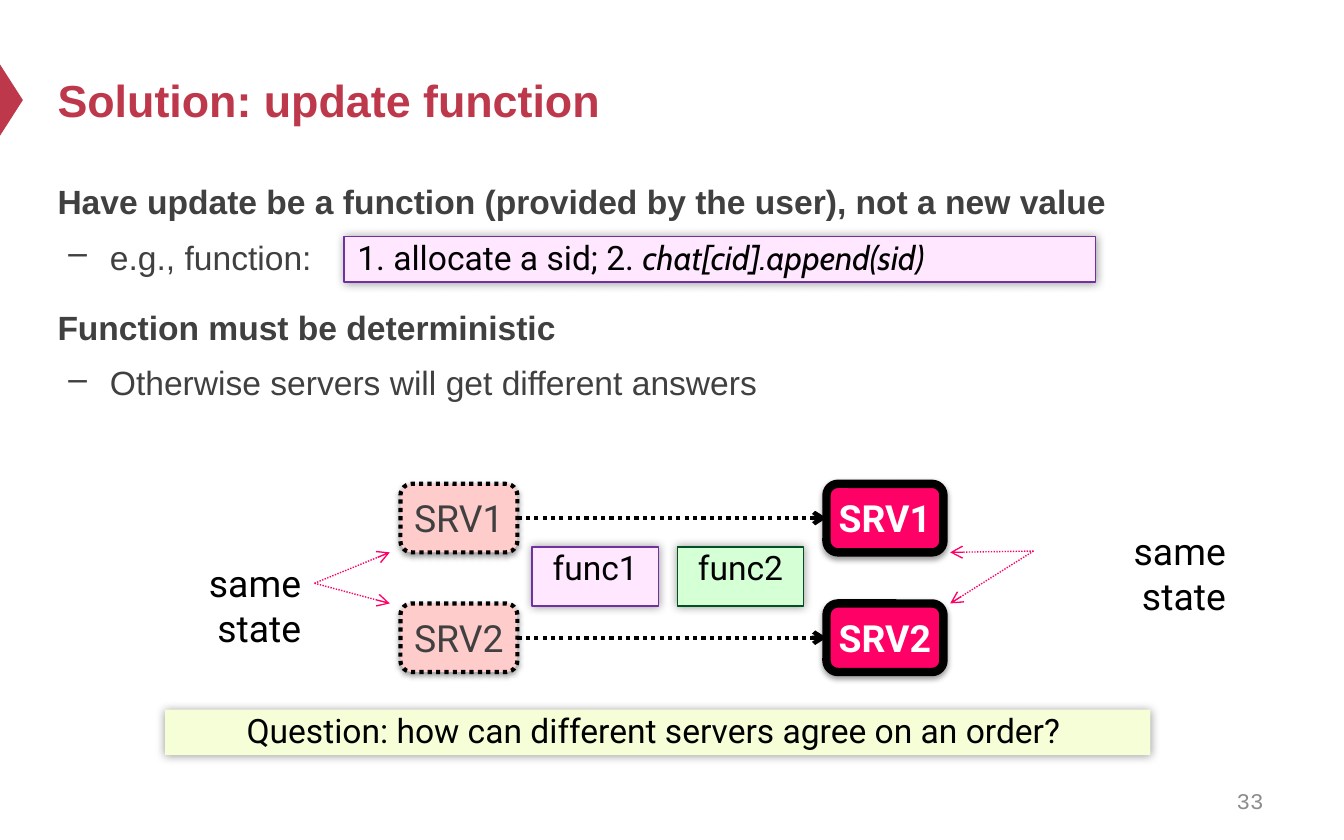
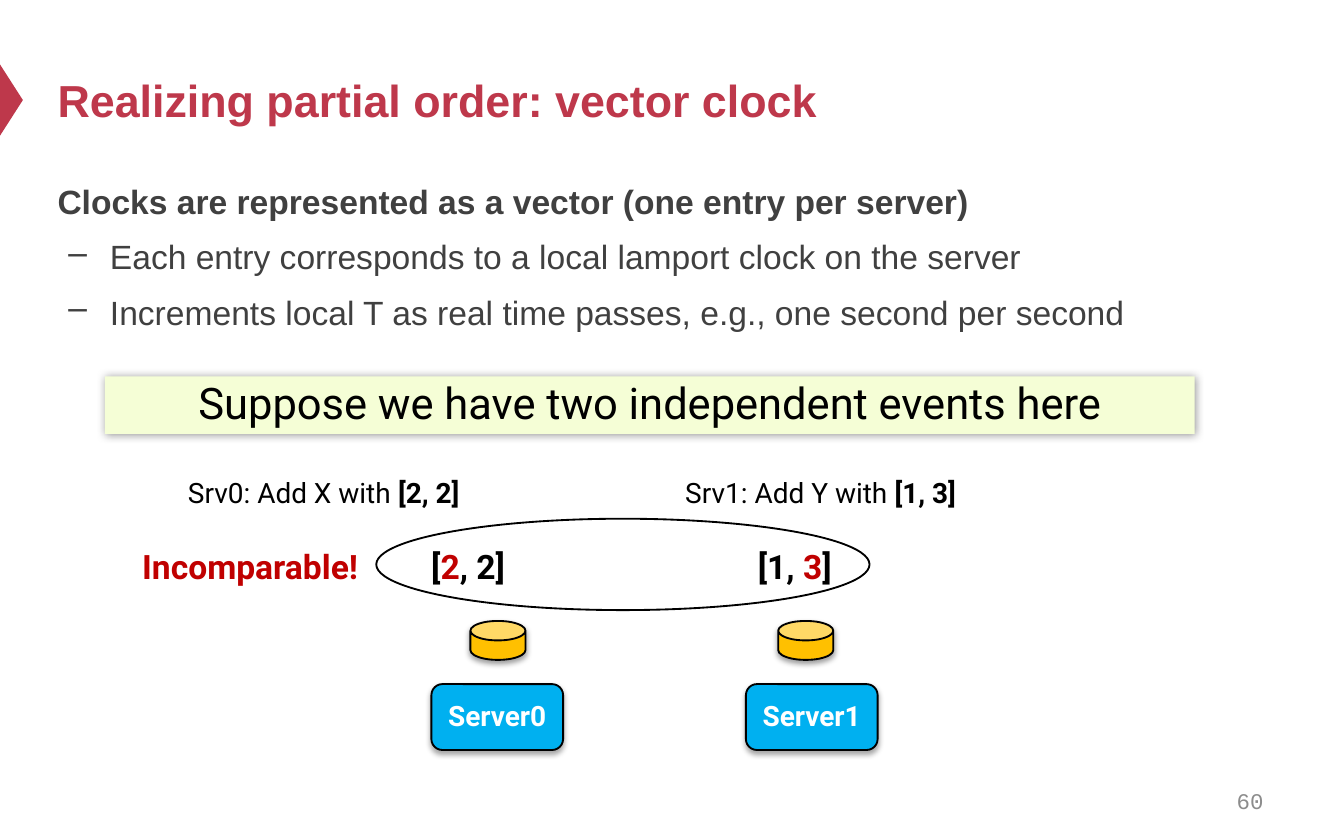
from collections import namedtuple

from lxml import etree
from pptx import Presentation
from pptx.dml.color import RGBColor
from pptx.enum.dml import MSO_LINE
from pptx.enum.shapes import MSO_CONNECTOR, MSO_SHAPE
from pptx.enum.text import MSO_ANCHOR, PP_ALIGN
from pptx.oxml.ns import qn
from pptx.util import Emu, Pt

EMU_PER_PX = 9144  # 100 px to the inch

RECTANGLE = MSO_SHAPE.RECTANGLE
ROUNDED = MSO_SHAPE.ROUNDED_RECTANGLE
TRIANGLE = MSO_SHAPE.ISOSCELES_TRIANGLE
CAN = MSO_SHAPE.CAN
ELLIPSE = MSO_SHAPE.OVAL
STRAIGHT = MSO_CONNECTOR.STRAIGHT
DOTTED = MSO_LINE.ROUND_DOT
LEFT, CENTER, RIGHT = PP_ALIGN.LEFT, PP_ALIGN.CENTER, PP_ALIGN.RIGHT
TOP, MIDDLE = MSO_ANCHOR.TOP, MSO_ANCHOR.MIDDLE
SIDE_LEFT, SIDE_RIGHT = 1, 3

CRIMSON, GREY, PALE_GREY = "BE384B", "404040", "8C8C8C"
BLACK, WHITE, RED, PINK = "000000", "FFFFFF", "C00000", "FF0066"
ROSE, LILAC, PURPLE = "FFCCCC", "FFE7FF", "7030A0"
MINT, GREEN, LIME = "D5FFD5", "005024", "F5FED6"
GOLD, BLUE = "FFC000", "00B0F0"

HEADING_FONT, NOTE_FONT, CODE_FONT, NUMBER_FONT = "Arial", "Roboto", "Cabin", "Courier New"

Box = namedtuple("Box", "left top width height")
Shadow = namedtuple("Shadow", "opacity blur distance direction")
GLOW = Shadow(40, 5, 0, 0)
DROP = Shadow(38, 3.1, 1.6, 90)
SERVER_DROP = Shadow(35, 3.1, 1.8, 90)

DEFAULT_INSETS = (10, 5, 10, 5)
NODE_INSETS = (0, 4, 0, 5)


def px(length):
    return Emu(length * EMU_PER_PX)


def color(hex_string):
    return RGBColor.from_string(hex_string)


def inside(box, left, top, width, height):
    """Box at an offset from the corner of another box."""
    return Box(box.left + left, box.top + top, width, height)


def set_font(font, name=None, size=None, ink=None, bold=None, italic=None):
    if name:
        font.name = name
    if size:
        font.size = Pt(size)
    if ink:
        font.color.rgb = color(ink)
    if bold is not None:
        font.bold = bold
    if italic is not None:
        font.italic = italic


def prepare_frame(shape, anchor=TOP, insets=DEFAULT_INSETS):
    frame = shape.text_frame
    frame.word_wrap = True
    frame.vertical_anchor = anchor
    frame.margin_left, frame.margin_top, frame.margin_right, frame.margin_bottom = map(px, insets)
    return frame


def write(shape, runs, size, ink=BLACK, name=NOTE_FONT, bold=False, align=LEFT,
          anchor=TOP, insets=DEFAULT_INSETS, spacing=None):
    """Write one paragraph; runs are (text, font differences) pairs or a string."""
    paragraph = prepare_frame(shape, anchor, insets).paragraphs[0]
    paragraph.alignment = align
    if spacing:
        paragraph.line_spacing = spacing
    set_font(paragraph.font, name, size, ink, bold)
    for text, differences in [(runs, {})] if isinstance(runs, str) else runs:
        run = paragraph.add_run()
        run.text = text
        set_font(run.font, **differences)


def add_text(slide, box, runs, size, **style):
    shape = slide.shapes.add_textbox(*map(px, box))
    write(shape, runs, size, **style)
    return shape


def add_shadow(shape, shadow):
    effects = shape.element.spPr.find(qn("a:effectLst"))
    outer = etree.SubElement(effects, qn("a:outerShdw"), blurRad=str(Pt(shadow.blur)),
                             dist=str(Pt(shadow.distance)), dir=str(shadow.direction * 60000),
                             rotWithShape="0")
    tint = etree.SubElement(outer, qn("a:srgbClr"), val=BLACK)
    etree.SubElement(tint, qn("a:alpha"), val=str(shadow.opacity * 1000))


def add_block(slide, kind, box, fill=None, line=None, weight=1, dash=None, shadow=None):
    shape = slide.shapes.add_shape(kind, *map(px, box))
    shape.shadow.inherit = False
    if fill:
        shape.fill.solid()
        shape.fill.fore_color.rgb = color(fill)
    else:
        shape.fill.background()
    if line:
        shape.line.color.rgb = color(line)
        shape.line.width = Pt(weight)
        if dash:
            shape.line.dash_style = dash
    else:
        shape.line.fill.background()
    if shadow:
        add_shadow(shape, shadow)
    return shape


def add_arrow(slide, start, side, end, ink, weight):
    """Dotted arrow from the side of a shape to an (x, y) point or a shape's left side."""
    joined = not isinstance(end, tuple)
    x, y = (0, 0) if joined else end
    arrow = slide.shapes.add_connector(STRAIGHT, 0, 0, px(x), px(y))
    arrow.begin_connect(start, side)
    if joined:
        arrow.end_connect(end, SIDE_LEFT)
    arrow.line.color.rgb = color(ink)
    arrow.line.width = Pt(weight)
    arrow.line.dash_style = DOTTED
    properties = arrow.element.spPr
    etree.SubElement(properties.find(qn("a:ln")), qn("a:tailEnd"), type="arrow")
    etree.SubElement(properties, qn("a:effectLst"))


def add_frame(presentation, title, number):
    """Slide with the marker, title and page number that all slides share."""
    slide = presentation.slides.add_slide(presentation.slide_layouts[6])
    marker = add_block(slide, TRIANGLE, Box(-18, 66, 53, 17), CRIMSON)
    marker.rotation = 90
    add_text(slide, Box(33, 25, 900, 98), title, 24, ink=CRIMSON, name=HEADING_FONT,
             bold=True, anchor=MIDDLE)
    add_text(slide, Box(717, 579, 233, 33), number, 12, ink=PALE_GREY, name=NUMBER_FONT,
             align=RIGHT, anchor=MIDDLE)
    return slide


def add_body(slide, box, lines):
    """Bold statements and dashed points; lines are (is_point, text) pairs."""
    frame = prepare_frame(slide.shapes.add_textbox(*map(px, box)))
    for index, (is_point, text) in enumerate(lines):
        paragraph = frame.add_paragraph() if index else frame.paragraphs[0]
        paragraph.add_run().text = text
        if is_point:
            paragraph.level = 1
            properties = paragraph._p.get_or_add_pPr()
            properties.set("marL", str(px(39)))
            properties.set("indent", str(px(-31)))
            etree.SubElement(properties, qn("a:buChar"), char="–")
        paragraph.line_spacing = 1.2
        if index:
            paragraph.space_before = Pt(3.6 if is_point else 12)
        set_font(paragraph.font, HEADING_FONT, 18, GREY, not is_point)


def add_banner(slide, box, text, size):
    banner = add_block(slide, RECTANGLE, box, LIME, shadow=GLOW)
    write(banner, text, size, align=CENTER, insets=(8, 0, 8, 4))


def add_function_note(slide, box):
    note = add_block(slide, RECTANGLE, box, LILAC, PURPLE, 0.75, shadow=GLOW)
    write(note, [("1. allocate a sid; 2. ", {}),
                 ("chat[cid].append(sid)", {"name": CODE_FONT, "italic": True})],
          18, insets=(10, 0, 10, 4))


def add_replication(slide, box):
    """Two servers, each moving from an old to a new state by the same functions."""
    node_width, node_height, row_step = 87, 51, 89
    new_left = 534

    # Servers before and after
    for row, name in enumerate(("SRV1", "SRV2")):
        top = row * row_step
        before = add_block(slide, ROUNDED, inside(box, 217, top, node_width, node_height),
                           ROSE, BLACK, 2.25, DOTTED, DROP)
        after = add_block(slide, ROUNDED, inside(box, new_left, top, node_width, node_height),
                          PINK, BLACK, 4.5, shadow=DROP)
        for node, ink, bold in ((before, GREY, False), (after, WHITE, True)):
            write(node, name, 20, ink=ink, bold=bold, align=CENTER, anchor=MIDDLE,
                  insets=NODE_INSETS)
        add_arrow(slide, before, SIDE_RIGHT, after, BLACK, 2.25)

    # State labels, each pointing at both of its servers
    for left, top, side, tip in ((0, 52, SIDE_RIGHT, 209), (688, 28, SIDE_LEFT, 626)):
        label = add_text(slide, inside(box, left, top, 153, 44), "same state", 20, align=RIGHT)
        for tip_top in (51, row_step):
            add_arrow(slide, label, side, (box.left + tip, box.top + tip_top), PINK, 0.75)

    # Functions applied in order
    for index, (fill, line) in enumerate(((LILAC, PURPLE), (MINT, GREEN))):
        function = add_block(slide, RECTANGLE, inside(box, 315 + index * 108, 47, 94, 44),
                             fill, line, 0.75, shadow=GLOW)
        write(function, f"func{index + 1}", 18, align=CENTER, insets=(4, 0, 4, 4))


def add_vector_clocks(slide, box):
    """Two servers with their events and vectors, circled as incomparable."""
    red = {"ink": RED}
    servers = (
        # event, vector, (event, vector, store, server) offsets
        (("Srv0: Add X with ", "[2, 2]"), [("[", {}), ("2", red), (", 2]", {})],
         (34, 215, 254, 225)),
        (("Srv1: Add Y with ", "[1, 3]"), [("[1, ", {}), ("3", red), ("]", {})],
         (404, 458, 483, 459)),
    )
    for index, ((event, stamp), vector, lefts) in enumerate(servers):
        event_left, vector_left, store_left, server_left = lefts
        add_text(slide, inside(box, event_left, 0, 268, 31),
                 [(event, {}), (stamp, {"bold": True})], 15, spacing=0.8)
        add_text(slide, inside(box, vector_left, 47, 109, 40), vector, 18, bold=True)
        store = add_block(slide, CAN, inside(box, store_left, 108, 41, 29), GOLD, BLACK,
                          shadow=DROP)
        store.adjustments[0] = 0.5
        server = add_block(slide, ROUNDED, inside(box, server_left, 155, 98, 49), BLUE, BLACK,
                           shadow=SERVER_DROP)
        write(server, f"Server{index}", 15, ink=WHITE, bold=True, align=CENTER,
              anchor=MIDDLE, insets=(0, 3, 0, 5))

    # Verdict
    add_block(slide, ELLIPSE, inside(box, 184, 32, 367, 68), line=BLACK)
    add_text(slide, inside(box, 0, 47, 207, 40), "Incomparable!", 18, ink=RED, bold=True)


def build_update_slide(presentation):
    slide = add_frame(presentation, "Solution: update function", "33")
    add_body(slide, Box(33, 124, 900, 412), [
        (False, "Have update be a function (provided by the user), not a new value"),
        (True, "e.g., function:"),
        (False, "Function must be deterministic"),
        (True, "Otherwise servers will get different answers"),
    ])
    add_function_note(slide, Box(256, 176, 559, 34))
    add_replication(slide, Box(81, 360, 841, 140))
    add_banner(slide, Box(123, 528, 733, 34),
               "Question: how can different servers agree on an order? ", 18)


def build_clock_slide(presentation):
    slide = add_frame(presentation, "Realizing partial order: vector clock", "60")
    add_body(slide, Box(33, 124, 900, 260), [
        (False, "Clocks are represented as a vector (one entry per server)"),
        (True, "Each entry corresponds to a local lamport clock on the server"),
        (True, "Increments local T as real time passes, e.g., one second per second"),
    ])
    add_banner(slide, Box(78, 280, 811, 43), "Suppose we have two independent events here", 23.3)
    add_vector_clocks(slide, Box(96, 354, 672, 204))


def main():
    presentation = Presentation()
    presentation.slide_width, presentation.slide_height = px(1000), px(625)
    build_update_slide(presentation)
    build_clock_slide(presentation)
    presentation.save("out.pptx")


if __name__ == "__main__":
    main()
